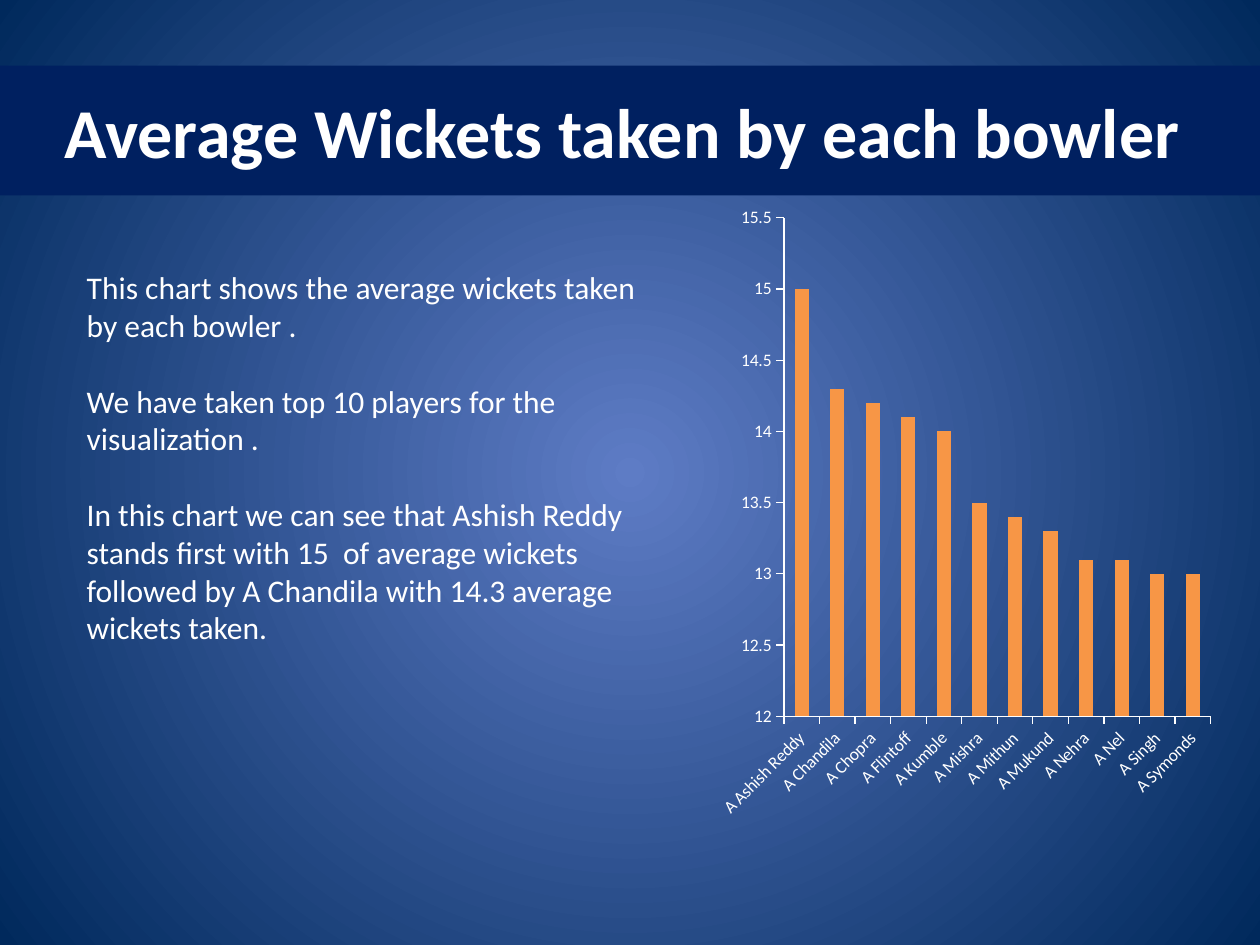
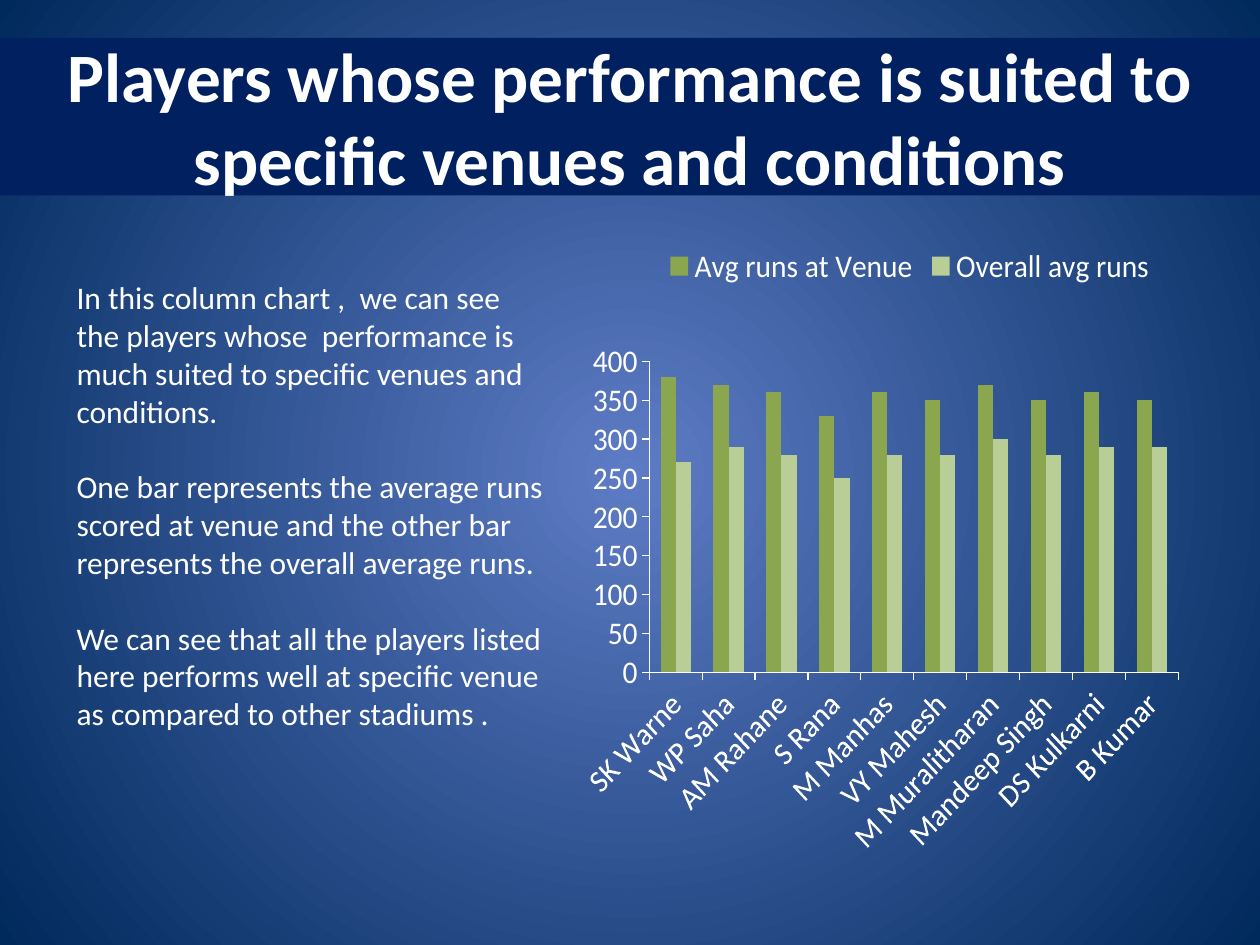
from dataclasses import dataclass

from lxml import etree
from pptx import Presentation
from pptx.chart.data import CategoryChartData
from pptx.dml.color import RGBColor
from pptx.enum.chart import XL_CHART_TYPE, XL_LEGEND_POSITION, XL_TICK_MARK
from pptx.enum.text import MSO_ANCHOR, MSO_AUTO_SIZE, PP_ALIGN
from pptx.oxml.ns import qn
from pptx.util import Inches, Pt

COLUMN_CLUSTERED = XL_CHART_TYPE.COLUMN_CLUSTERED
LEGEND_TOP = XL_LEGEND_POSITION.TOP
TICK_OUTSIDE = XL_TICK_MARK.OUTSIDE
TICK_NONE = XL_TICK_MARK.NONE
MIDDLE = MSO_ANCHOR.MIDDLE
TOP = MSO_ANCHOR.TOP
NO_AUTOFIT = MSO_AUTO_SIZE.NONE
CENTER = PP_ALIGN.CENTER
LEFT = PP_ALIGN.LEFT

TITLE_ONLY_LAYOUT = 5
LABEL_ROTATION = -45 * 60000


@dataclass(frozen=True)
class Theme:
    """Colours, font and type sizes shared by the slides."""

    font: str = "Calibri"
    text: str = "FFFFFF"
    band: str = "002060"
    glow: str = "5E7CC5"
    edge: str = "00295C"
    orange: str = "F79646"
    green: str = "8AA64F"
    pale_green: str = "B9CD96"
    title_size: float = 40
    long_title_size: float = 39.6
    body_size: float = 18
    small_size: float = 10
    paragraph_gap: float = 21.6


THEME = Theme()


def color(value):
    """Return an RGB colour from its hexadecimal name."""
    return RGBColor.from_string(value)


def place(shape, box):
    """Move a shape to a box of left, top, width and height in inches."""
    shape.left, shape.top, shape.width, shape.height = map(Inches, box)


def style_font(font, size, bold=False):
    """Apply the shared typeface and text colour."""
    font.name = THEME.font
    font.size = Pt(size)
    font.bold = bold
    font.color.rgb = color(THEME.text)


def style_text(text_frame, size, alignment, anchor, bold=False, gap=0):
    """Format every paragraph of a text frame in the same way."""
    text_frame.word_wrap = True
    text_frame.auto_size = NO_AUTOFIT
    text_frame.vertical_anchor = anchor
    for paragraph in text_frame.paragraphs:
        paragraph.alignment = alignment
        paragraph.space_after = Pt(gap)
        for run in paragraph.runs:
            style_font(run.font, size, bold)


def paint_background(master):
    """Give the slide master a circular gradient from glow to edge."""
    fill = master.background.fill
    fill.gradient()
    for stop, value in zip(fill.gradient_stops, (THEME.glow, THEME.edge)):
        stop.color.rgb = color(value)
    gradient = master.element.xpath("p:cSld/p:bg//a:gradFill")[0]
    gradient.remove(gradient.find(qn("a:lin")))
    circle = etree.SubElement(gradient, qn("a:path"), {"path": "circle"})
    sides = {side: "50000" for side in "ltrb"}
    etree.SubElement(circle, qn("a:fillToRect"), sides)


def fill_title_band(slide, text, size, box):
    """Turn the title placeholder into a full-width band."""
    title = slide.shapes.title
    place(title, box)
    title.fill.solid()
    title.fill.fore_color.rgb = color(THEME.band)
    title.text_frame.text = text
    style_text(title.text_frame, size, CENTER, MIDDLE, bold=True)


def add_commentary(slide, paragraphs, box):
    """Add the explanatory paragraphs beside the chart."""
    text_frame = slide.shapes.add_textbox(*map(Inches, box)).text_frame
    text_frame.text = "\n".join(paragraphs)
    style_text(text_frame, THEME.body_size, LEFT, TOP, gap=THEME.paragraph_gap)


def style_axis(axis):
    """Show an axis as a white line with outside ticks and no grid."""
    axis.has_major_gridlines = False
    axis.major_tick_mark = TICK_OUTSIDE
    axis.minor_tick_mark = TICK_NONE
    axis.format.line.color.rgb = color(THEME.text)
    axis.format.line.width = Pt(0.75)


def set_layout(parent, index, **values):
    """Write a manual chart layout into a plot area or a legend."""
    for old_layout in parent.findall(qn("c:layout")):
        parent.remove(old_layout)
    layout = etree.Element(qn("c:layout"))
    manual = etree.SubElement(layout, qn("c:manualLayout"))
    for name, value in values.items():
        etree.SubElement(manual, qn(f"c:{name}"), {"val": str(value)})
    parent.insert(index, layout)


def add_column_chart(slide, categories, series, colors, scale, size, box):
    """Add a clustered column chart with slanted category labels."""
    chart_data = CategoryChartData()
    chart_data.categories = categories
    for name, values in series.items():
        chart_data.add_series(name, values)
    chart = slide.shapes.add_chart(
        COLUMN_CLUSTERED, *map(Inches, box), chart_data
    ).chart
    chart.has_title = False
    chart.has_legend = False
    style_font(chart.font, size)
    for axis in (chart.category_axis, chart.value_axis):
        style_axis(axis)
    value_axis = chart.value_axis
    value_axis.minimum_scale, value_axis.maximum_scale, value_axis.major_unit = scale
    style_font(chart.category_axis.tick_labels.font, size)
    label_body = chart.element.xpath(".//c:catAx/c:txPr/a:bodyPr")[0]
    label_body.set("rot", str(LABEL_ROTATION))
    plot = chart.plots[0]
    plot.gap_width = 150
    plot.vary_by_categories = False
    for column, value in zip(plot.series, colors):
        column.format.fill.solid()
        column.format.fill.fore_color.rgb = color(value)
    return chart


def add_top_legend(chart):
    """Add the legend above a plot area of fixed size."""
    chart.has_legend = True
    chart.legend.position = LEGEND_TOP
    chart.legend.include_in_layout = False
    style_font(chart.legend.font, THEME.body_size)
    legend = chart.element.xpath(".//c:legend")[0]
    set_layout(legend, 1, xMode="edge", yMode="edge", x=0.07, y=0.01)
    plot_area = chart.element.xpath(".//c:plotArea")[0]
    set_layout(
        plot_area, 0, layoutTarget="inner", xMode="edge", yMode="edge",
        x=0.05, y=0.2, w=0.92, h=0.49,
    )


def build_wickets_slide(slide):
    """Build the slide on average wickets per bowler."""
    fill_title_band(
        slide,
        "Average Wickets taken by each bowler ",
        THEME.title_size,
        (0, 0.52, 10, 1.03),
    )
    add_commentary(
        slide,
        (
            "This chart shows the average wickets taken by each bowler .",
            "We have taken top 10 players for the visualization .",
            "In this chart we can see that Ashish Reddy  stands first with 15  of "
            "average wickets followed by A Chandila with 14.3 average wickets taken.",
        ),
        (0.59, 2.08, 4.8, 3.13),
    )
    add_column_chart(
        slide,
        ("A Ashish Reddy", "A Chandila", "A Chopra", "A Flintoff", "A Kumble",
         "A Mishra", "A Mithun", "A Mukund", "A Nehra", "A Nel", "A Singh",
         "A Symonds"),
        {"Series 1": (15, 14.3, 14.2, 14.1, 14, 13.5, 13.4, 13.3, 13.1, 13.1, 13, 13)},
        (THEME.orange,),
        (12, 15.5, 0.5),
        THEME.small_size,
        (5.63, 1.55, 4.06, 5.04),
    )


def build_venues_slide(slide):
    """Build the slide comparing venue and overall run averages."""
    fill_title_band(
        slide,
        "Players whose performance is suited to specific venues and conditions",
        THEME.long_title_size,
        (0, 0.3, 10, 1.25),
    )
    chart = add_column_chart(
        slide,
        ("SK Warne", "WP Saha", "AM Rahane", "S Rana", "M Manhas", "VY Mahesh",
         "M Muralitharan", "Mandeep Singh", "DS Kulkarni", "B Kumar"),
        {
            "Avg runs at Venue": (380, 370, 360, 330, 360, 350, 370, 350, 360, 350),
            "Overall avg runs": (270, 290, 280, 250, 280, 280, 300, 280, 290, 290),
        },
        (THEME.green, THEME.pale_green),
        (0, 400, 50),
        THEME.body_size,
        (4.61, 1.86, 4.88, 5.04),
    )
    add_top_legend(chart)
    add_commentary(
        slide,
        (
            "In this column chart ,  we can see the players whose  performance is "
            "much suited to specific venues and conditions.",
            "One bar represents the average runs scored at venue and the other bar "
            "represents the overall average runs.",
            "We can see that all the players listed here performs well at specific "
            "venue as compared to other stadiums .",
        ),
        (0.51, 2.16, 3.94, 4.65),
    )


def main():
    """Create the presentation and save it."""
    presentation = Presentation()
    presentation.slide_width = Inches(10)
    presentation.slide_height = Inches(7.5)
    paint_background(presentation.slide_master)
    layout = presentation.slide_layouts[TITLE_ONLY_LAYOUT]
    for build_slide in (build_wickets_slide, build_venues_slide):
        build_slide(presentation.slides.add_slide(layout))
    presentation.save("out.pptx")


if __name__ == "__main__":
    main()
